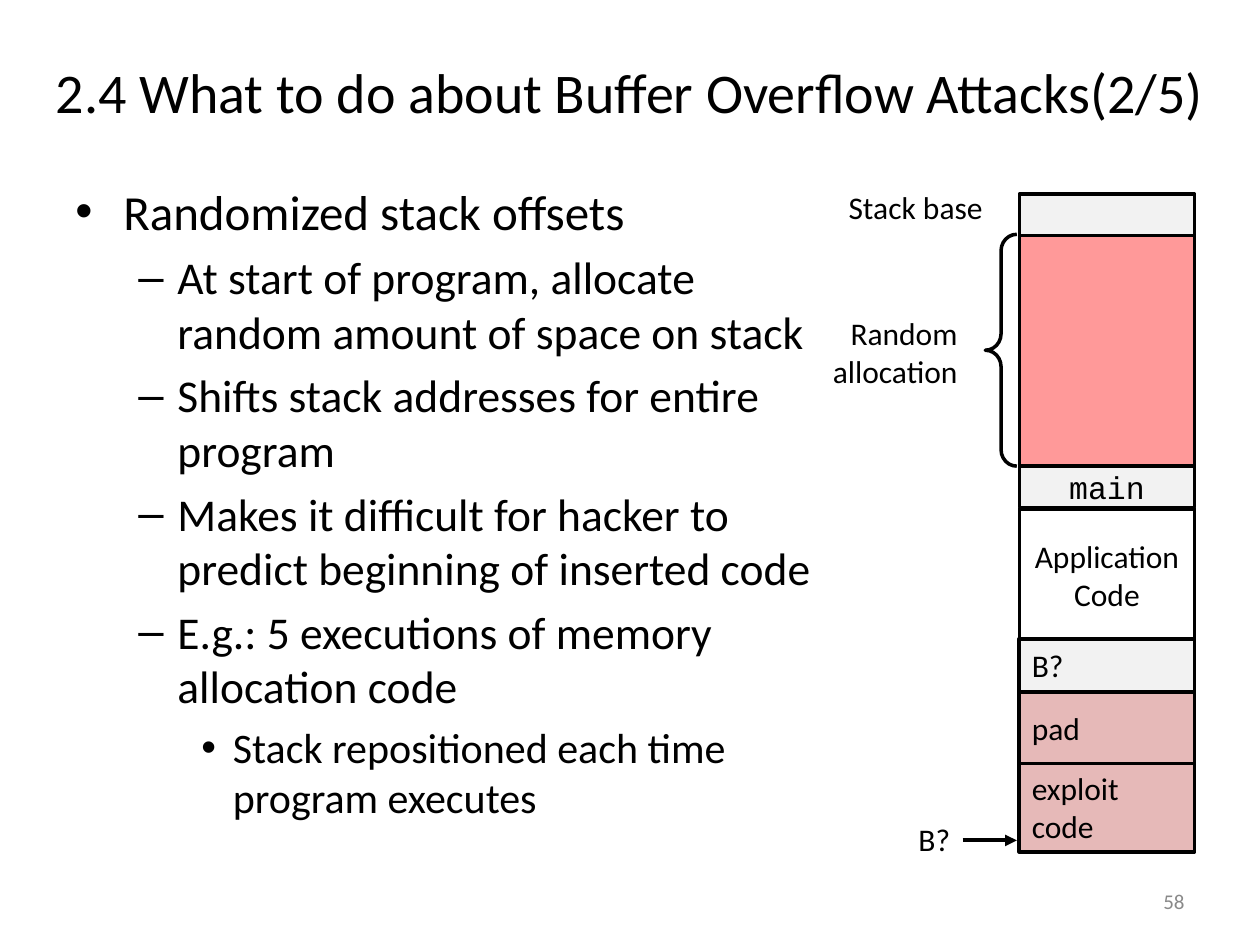
from collections import namedtuple

from lxml import etree
from pptx import Presentation
from pptx import util as u
from pptx.dml.color import RGBColor
from pptx.enum import shapes, text
from pptx.oxml import ns

PX = u.Inches(1) // 100
BLACK = RGBColor(0, 0, 0)
WHITE = RGBColor(255, 255, 255)
PALE_GRAY = RGBColor(0xF2, 0xF2, 0xF2)
NUMBER_GRAY = RGBColor(0x89, 0x89, 0x89)
RANDOM_RED = RGBColor(0xFF, 0x99, 0x99)
EXPLOIT_PINK = RGBColor(0xE6, 0xB9, 0xB8)
LEFT, CENTER, RIGHT = text.PP_ALIGN.LEFT, text.PP_ALIGN.CENTER, text.PP_ALIGN.RIGHT
TOP, MIDDLE = text.MSO_ANCHOR.TOP, text.MSO_ANCHOR.MIDDLE

Box = namedtuple("Box", "left top width height")
Level = namedtuple("Level", "size margin hanging bullet")
LEVELS = [Level(28, 38, 38, "•"), Level(26, 81, 31, "–"), Level(24, 125, 25, "•")]

BULLETS = [
    (0, "Randomized stack offsets"),
    (1, "At start of program, allocate random amount of space on stack"),
    (1, "Shifts stack addresses for entire program"),
    (1, "Makes it difficult for hacker to predict beginning of inserted code"),
    (1, "E.g.: 5 executions of memory allocation code"),
    (2, "Stack repositioned each time program executes"),
]

CELLS = [
    (0, 33, PALE_GRAY, 2, [], CENTER, "Calibri", 0),
    (33, 183, RANDOM_RED, 2, [], CENTER, "Calibri", 0),
    (216, 33, PALE_GRAY, 2, ["main"], CENTER, "Courier New", 0),
    (250, 105, WHITE, 2, ["Application", "Code"], CENTER, "Calibri", 0),
    (353, 42, PALE_GRAY, 2.25, ["B?"], LEFT, "Calibri", 10),
    (451, 71, EXPLOIT_PINK, 2.25, ["exploit", "code"], LEFT, "Calibri", 10),
    (395, 57, EXPLOIT_PINK, 2.25, ["pad"], LEFT, "Calibri", 10),
]

LABELS = [
    (0, 91, 110, 69, ["Random", "allocation"], 4),
    (14, -9, 116, 39, ["Stack base"], 4),
    (64, 492, 46, 40, ["B?"], 10),
]


def emu(box):
    return [length * PX for length in box]


def write_lines(shape, lines, size, align=LEFT, anchor=MIDDLE, name="Calibri",
                color=BLACK, side=10, wrap=True):
    frame = shape.text_frame
    frame.word_wrap = wrap
    frame.vertical_anchor = anchor
    frame.margin_left = frame.margin_right = side * PX
    frame.margin_top = frame.margin_bottom = min(side, 5) * PX
    frame.text = "\n".join(lines)
    for paragraph in frame.paragraphs:
        paragraph.alignment = align
        font = paragraph.font
        font.name, font.size = name, u.Pt(size)
        font.color.rgb = color


def draw_text(slide, box, lines, size, **style):
    write_lines(slide.shapes.add_textbox(*emu(box)), lines, size, **style)


def draw_bullets(slide, box):
    frame = slide.shapes.add_textbox(*emu(box)).text_frame
    frame.word_wrap = True
    for index, (depth, line) in enumerate(BULLETS):
        level = LEVELS[depth]
        paragraph = frame.add_paragraph() if index else frame.paragraphs[0]
        paragraph.text = line
        paragraph.level = depth
        if index:
            paragraph.space_before = u.Pt(level.size * 0.2)
        properties = paragraph._p.get_or_add_pPr()
        properties.set("marL", str(level.margin * PX))
        properties.set("indent", str(-level.hanging * PX))
        etree.SubElement(properties, ns.qn("a:buFont"), typeface="Arial")
        etree.SubElement(properties, ns.qn("a:buChar"), char=level.bullet)
        paragraph.font.name, paragraph.font.size = "Calibri", u.Pt(level.size)
        paragraph.font.color.rgb = BLACK


def draw_stack(slide, box):
    for top, height, fill, weight, lines, align, name, side in CELLS:
        cell = slide.shapes.add_shape(
            shapes.MSO_SHAPE.RECTANGLE,
            *emu(Box(box.left, box.top + top, box.width, height)))
        cell.shadow.inherit = False
        cell.fill.solid()
        cell.fill.fore_color.rgb = fill
        cell.line.color.rgb = BLACK
        cell.line.width = u.Pt(weight)
        if lines:
            write_lines(cell, lines, 18, align=align, name=name, side=side)


def draw_annotations(slide, box):
    for left, top, width, height, lines, side in LABELS:
        draw_text(slide, Box(box.left + left, box.top + top, width, height), lines, 18,
                  align=RIGHT, side=side, wrap=False)

    brace = slide.shapes.add_shape(
        shapes.MSO_SHAPE.LEFT_BRACE, *emu(Box(box.left + 128, box.top + 32, 25, 184)))
    brace.adjustments[0] = 0.52
    brace.shadow.inherit = False
    brace.fill.background()
    brace.line.color.rgb = BLACK
    brace.line.width = u.Pt(2)

    arrow_y = box.top + 513
    arrow = slide.shapes.add_connector(
        shapes.MSO_CONNECTOR.STRAIGHT,
        *emu((box.left + 110, arrow_y, box.left + box.width, arrow_y)))
    arrow.line.color.rgb = BLACK
    arrow.line.width = u.Pt(2.25)
    etree.SubElement(arrow.line._get_or_add_ln(), ns.qn("a:tailEnd"), type="triangle")
    etree.SubElement(arrow._element.spPr, ns.qn("a:effectLst"))


def main():
    presentation = Presentation()
    presentation.slide_width, presentation.slide_height = 1000 * PX, 750 * PX
    slide = presentation.slides.add_slide(presentation.slide_layouts[6])
    draw_text(slide, Box(0, 30, 1000, 85),
              ["2.4 What to do about Buffer Overflow Attacks(2/5)"], 32, align=CENTER)
    draw_bullets(slide, Box(50, 139, 618, 531))
    draw_stack(slide, Box(809, 154, 139, 522))
    draw_annotations(slide, Box(654, 154, 153, 522))
    draw_text(slide, Box(717, 695, 233, 40), ["58"], 12, align=RIGHT, color=NUMBER_GRAY)
    presentation.save("out.pptx")


if __name__ == "__main__":
    main()
